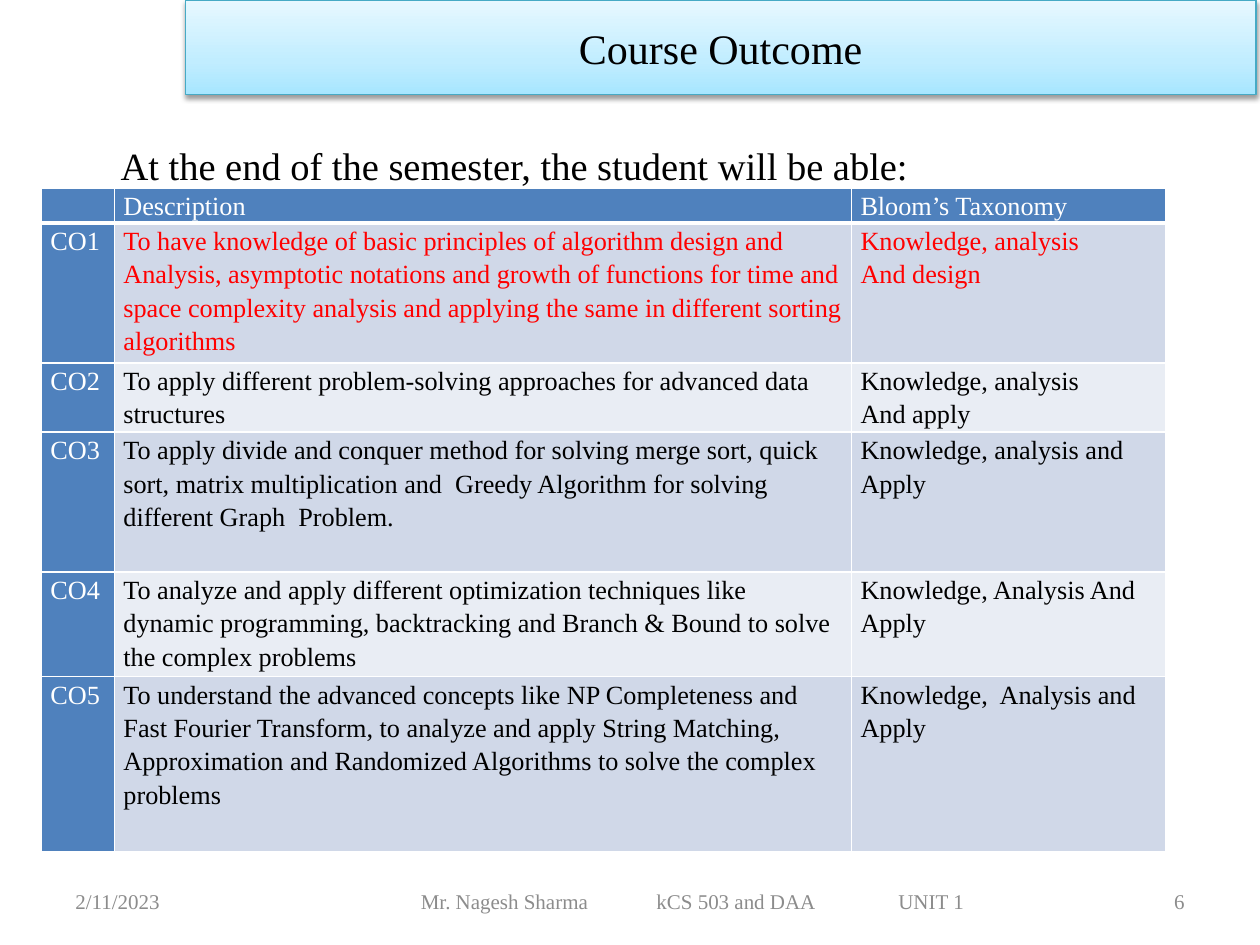
from copy import deepcopy

from lxml.etree import SubElement
from pptx import Presentation
from pptx.dml.color import RGBColor
from pptx.enum.shapes import MSO_SHAPE as Preset
from pptx.enum.text import MSO_ANCHOR as Anchor, PP_ALIGN as Align
from pptx.oxml.ns import qn
from pptx.util import Inches, Pt

WHITE = RGBColor(0xFF, 0xFF, 0xFF)
BLACK = RGBColor(0, 0, 0)
RED = RGBColor(0xFF, 0, 0)
GRAY = RGBColor(0x8C, 0x8C, 0x8C)
BLUE = RGBColor(0x4F, 0x81, 0xBD)
BAND_DARK = RGBColor(0xD0, 0xD8, 0xE8)
BAND_LIGHT = RGBColor(0xE9, 0xED, 0xF4)
TEAL = RGBColor(0x46, 0xAA, 0xC5)
SKY_STOPS = [
    (0, RGBColor(0xA7, 0xE6, 0xFF)),
    (35, RGBColor(0xC1, 0xED, 0xFF)),
    (100, RGBColor(0xE7, 0xF8, 0xFF)),
]

COLUMNS = [5.8, 58.5, 24.9]
ROWS = [2.8, 11.1, 5.5, 11.1, 8.3, 13.9]
OUTCOMES = [
    ("", "Description", "Bloom’s Taxonomy"),
    ("CO1", "To have knowledge of basic principles of algorithm design and Analysis, "
     "asymptotic notations and growth of functions for time and space complexity "
     "analysis and applying the same in different sorting algorithms",
     "Knowledge, analysis\nAnd design"),
    ("CO2", "To apply different problem-solving approaches for advanced data structures",
     "Knowledge, analysis\nAnd apply"),
    ("CO3", "To apply divide and conquer method for solving merge sort, quick sort, "
     "matrix multiplication and  Greedy Algorithm for solving different Graph  Problem.",
     "Knowledge, analysis and Apply"),
    ("CO4", "To analyze and apply different optimization techniques like dynamic "
     "programming, backtracking and Branch & Bound to solve the complex problems",
     "Knowledge, Analysis And Apply"),
    ("CO5", "To understand the advanced concepts like NP Completeness and Fast Fourier "
     "Transform, to analyze and apply String Matching, Approximation and Randomized "
     "Algorithms to solve the complex problems",
     "Knowledge,  Analysis and Apply"),
]


def apply_format(target, values):
    for name, value in values.items():
        setattr(target, name, value)


class SlideBuilder:
    font_name = "Times New Roman"
    grid_columns = 100

    def __init__(self, presentation):
        self.unit = presentation.slide_width / self.grid_columns
        self.slide = presentation.slides.add_slide(presentation.slide_layouts[6])

    def span(self, *cells):
        return [round(cell * self.unit) for cell in cells]

    def fill_text(self, frame, text, size, color, tabs=(), **paragraph_format):
        frame.word_wrap = True
        for index, line in enumerate(text.split("\n")):
            paragraph = frame.add_paragraph() if index else frame.paragraphs[0]
            apply_format(paragraph, paragraph_format)
            if tabs:
                tab_list = SubElement(paragraph._p.get_or_add_pPr(), qn("a:tabLst"))
                for position in self.span(*tabs):
                    SubElement(tab_list, qn("a:tab"), pos=str(position), algn="l")
            run = paragraph.add_run()
            run.text = line
            apply_format(run.font, {"name": self.font_name, "size": Pt(size), "bold": False})
            run.font.color.rgb = color

    def text(self, box, text, size, color, frame_format=None, **options):
        frame = self.slide.shapes.add_textbox(*self.span(*box)).text_frame
        apply_format(frame, frame_format or {})
        self.fill_text(frame, text, size, color, **options)

    def banner(self, box, text):
        shape = self.slide.shapes.add_shape(Preset.RECTANGLE, *self.span(*box))
        shape.fill.gradient()
        shape.fill.gradient_angle = 90
        properties = shape._element.spPr
        stop_list = properties.find(".//" + qn("a:gsLst"))
        for stop in list(stop_list):
            stop_list.remove(stop)
        for position, color in SKY_STOPS:
            stop = SubElement(stop_list, qn("a:gs"), pos=str(position * 1000))
            SubElement(stop, qn("a:srgbClr"), val=str(color))
        shape.line.color.rgb = TEAL
        shape.line.width = Pt(0.75)
        shape.shadow.inherit = False
        shadow = SubElement(properties.find(qn("a:effectLst")), qn("a:outerShdw"),
                            blurRad=str(Pt(3.1)), dist=str(Pt(1.6)),
                            dir="5400000", rotWithShape="0")
        shadow_color = SubElement(shadow, qn("a:srgbClr"), val=str(BLACK))
        SubElement(shadow_color, qn("a:alpha"), val="38000")
        shape.text_frame.vertical_anchor = Anchor.MIDDLE
        self.fill_text(shape.text_frame, text, 24, BLACK, alignment=Align.CENTER)

    def border(self, cell, bottom_width):
        properties = cell._tc.get_or_add_tcPr()
        fill = properties.find(qn("a:solidFill"))
        for side, width in zip("LRTB", (1, 1, 1, bottom_width)):
            line = SubElement(properties, qn(f"a:ln{side}"), w=str(Pt(width)))
            line_fill = deepcopy(fill)
            line_fill[0].set("val", str(WHITE))
            line.append(line_fill)
        properties.append(fill)

    def table(self, left, top, columns, rows, contents):
        box = self.span(left, top, sum(columns), sum(rows))
        table = self.slide.shapes.add_table(len(rows), len(columns), *box).table
        for column, width in zip(table.columns, self.span(*columns)):
            column.width = width
        for row, height in zip(table.rows, self.span(*rows)):
            row.height = height
        margins = {"margin_left": Inches(0.07), "margin_right": Inches(0.07),
                   "margin_top": 0, "margin_bottom": 0}
        for row_index, texts in enumerate(contents):
            for column_index, text in enumerate(texts):
                cell = table.cell(row_index, column_index)
                is_header = row_index == 0 or column_index == 0
                band = BAND_DARK if row_index % 2 else BAND_LIGHT
                body_color = RED if row_index == 1 else BLACK
                apply_format(cell, margins)
                cell.fill.solid()
                cell.fill.fore_color.rgb = BLUE if is_header else band
                self.border(cell, 1 if row_index else 3)
                self.fill_text(cell.text_frame, text, 15,
                               WHITE if is_header else body_color, line_spacing=1.15)


def main():
    presentation = Presentation()
    apply_format(presentation, {"slide_width": Inches(10), "slide_height": Inches(7.5)})
    builder = SlideBuilder(presentation)
    builder.table(3.3, 14.9, COLUMNS, ROWS, OUTCOMES)

    middle = {"vertical_anchor": Anchor.MIDDLE}
    footer_row, footer_height = 69.5, 4
    builder.text((5, footer_row, 23.3, footer_height), "2/11/2023", 12, GRAY, middle)
    builder.text((27.5, footer_row, 55, footer_height),
                 "Mr. Nagesh Sharma\tkCS 503 and DAA\tUNIT 1", 12, GRAY,
                 {**middle, "margin_left": Inches(0.59)}, tabs=(18.7, 37.9))
    builder.text((71.7, footer_row, 23.3, footer_height), "6", 12, GRAY, middle,
                 alignment=Align.RIGHT)

    builder.banner((14.7, 0, 85, 7.5), "Course Outcome")
    builder.text((8.6, 10.2, 85, 5), "At the end of the semester, the student will be able:",
                 22, BLACK, line_spacing=1.15, space_after=Pt(10))
    presentation.save("out.pptx")


if __name__ == "__main__":
    main()
